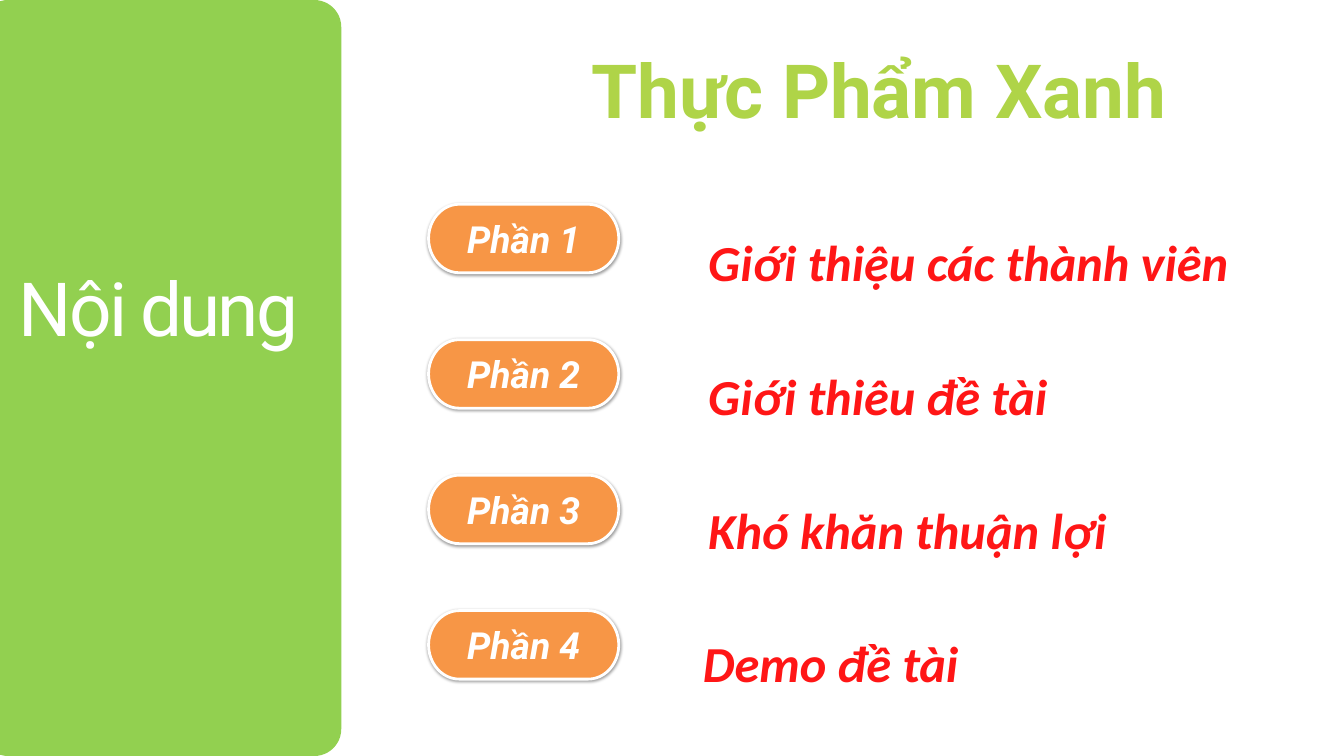
from lxml import etree
from pptx import Presentation
from pptx.dml.color import RGBColor
from pptx.enum.shapes import MSO_SHAPE
from pptx.enum.text import MSO_ANCHOR, MSO_AUTO_SIZE, PP_ALIGN
from pptx.oxml.ns import qn
from pptx.util import Cm, Pt

ROUNDED = MSO_SHAPE.ROUNDED_RECTANGLE
TERMINATOR = MSO_SHAPE.FLOWCHART_TERMINATOR
TOP, MIDDLE = MSO_ANCHOR.TOP, MSO_ANCHOR.MIDDLE
LEFT, CENTER = PP_ALIGN.LEFT, PP_ALIGN.CENTER
NO_AUTOFIT = MSO_AUTO_SIZE.NONE
TITLE_ONLY = 5

PARTS = [
    ("Phần 1", "Giới thiệu các thành viên", 26.77),
    ("Phần 2", "Giới thiêu đề tài", 26.77),
    ("Phần 3", "Khó khăn thuận lợi", 26.77),
    ("Phần 4", "Demo đề tài", 26.57),
]
PILL_TOP, PILL_STEP = 7.72, 5.12
TOPIC_TOP, TOPIC_STEP = 6.45, 5.05


def color(value):
    return RGBColor.from_string(value)


def write(shape, text, font="Roboto", size=40, fill="FFFFFF", bold=False,
          italic=False, align=LEFT, anchor=TOP, line_height=None,
          spacing=None, margin=None):
    frame = shape.text_frame
    frame.word_wrap = True
    frame.auto_size = NO_AUTOFIT
    frame.vertical_anchor = anchor
    if margin is not None:
        frame.margin_left = frame.margin_right = Cm(margin)
        frame.margin_top = frame.margin_bottom = Cm(margin)
    paragraph = frame.paragraphs[0]
    paragraph.alignment = align
    paragraph.space_before = Pt(0)
    if line_height:
        paragraph.line_spacing = Pt(line_height)
    run = paragraph.add_run()
    run.text = text
    run.font.name = font
    run.font.size = Pt(size)
    run.font.bold = bold
    run.font.italic = italic
    run.font.color.rgb = color(fill)
    if spacing:
        run.font._element.set("spc", str(spacing * 100))


class Deck:
    green, orange, red, lime, white = "92D050", "F79646", "FF1616", "AFD448", "FFFFFF"

    def __init__(self):
        self.presentation = Presentation()
        self.presentation.slide_width = Cm(50.8)
        self.presentation.slide_height = Cm(28.575)
        layout = self.presentation.slide_layouts[TITLE_ONLY]
        self.slide = self.presentation.slides.add_slide(layout)

    def title(self, text, left, top, width, height):
        shape = self.slide.shapes.title
        shape.left, shape.top = Cm(left), Cm(top)
        shape.width, shape.height = Cm(width), Cm(height)
        write(shape, text, size=80, fill=self.lime, bold=True, align=CENTER,
              line_height=70, margin=0)

    def block(self, kind, left, top, width, height, fill):
        shape = self.slide.shapes.add_shape(kind, Cm(left), Cm(top), Cm(width), Cm(height))
        shape.shadow.inherit = False
        shape.fill.solid()
        shape.fill.fore_color.rgb = color(fill)
        shape.line.fill.background()
        return shape

    def panel(self, left, top, width, height, radius):
        shape = self.block(ROUNDED, left, top, width, height, self.green)
        shape.adjustments[0] = radius / width

    def pill(self, text, left, top, width, height):
        shape = self.block(TERMINATOR, left, top, width, height, self.orange)
        shape.line.color.rgb = color(self.white)
        shape.line.width = Pt(3)
        effects = shape._element.spPr.find(qn("a:effectLst"))
        shadow = etree.SubElement(effects, qn("a:outerShdw"), blurRad="40000",
                                  dist="20000", dir="5400000", rotWithShape="0")
        black = etree.SubElement(shadow, qn("a:srgbClr"), val="000000")
        etree.SubElement(black, qn("a:alpha"), val="38000")
        write(shape, text, bold=True, italic=True, align=CENTER, anchor=MIDDLE)

    def text(self, text, left, top, width, height, **style):
        shape = self.slide.shapes.add_textbox(Cm(left), Cm(top), Cm(width), Cm(height))
        write(shape, text, line_height=130, margin=0, **style)


def main():
    deck = Deck()
    deck.panel(-0.71, 0, 13.61, 28.575, radius=1.02)
    deck.text("Nội dung", 0.71, 8.69, 10.77, 4.19, size=80, spacing=-3)
    deck.title("Thực Phẩm Xanh", 21.16, 2.57, 24.13, 2.59)
    for index, (part, topic, topic_left) in enumerate(PARTS):
        deck.pill(part, 16.2, PILL_TOP + index * PILL_STEP, 7.19, 2.59)
        deck.text(topic, topic_left, TOPIC_TOP + index * TOPIC_STEP, 22.23, 4.01,
                  font="Calibri", size=54, fill=deck.red, bold=True, italic=True)
    deck.presentation.save("out.pptx")


if __name__ == "__main__":
    main()
